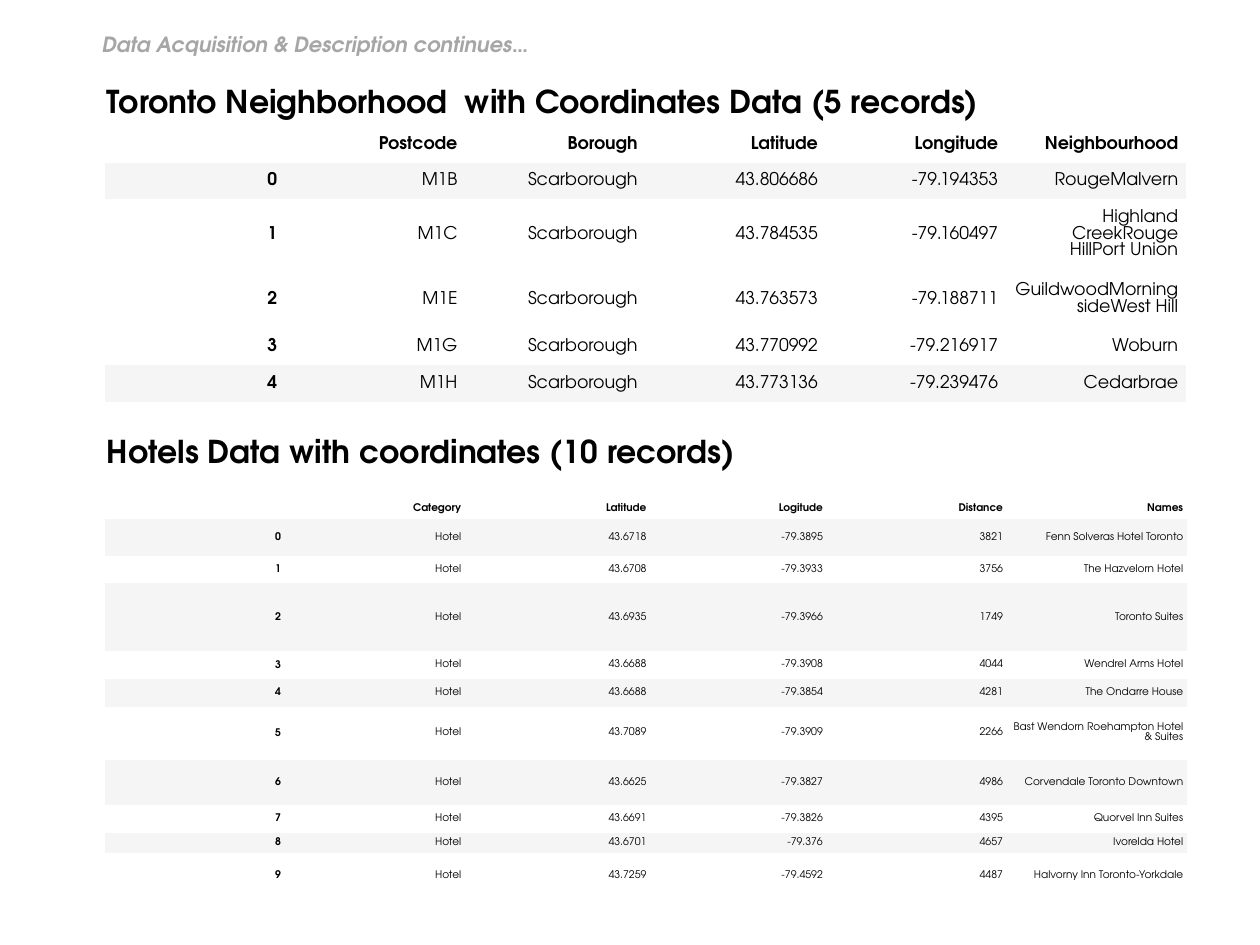
from lxml import etree
from pptx import Presentation
from pptx import util as u
from pptx.dml.color import RGBColor
from pptx.enum import text
from pptx.oxml.ns import qn

FONT = "TeX Gyre Adventor"
BLACK = RGBColor(0x00, 0x00, 0x00)
GREY = RGBColor(0xA6, 0xA6, 0xA6)
BAND = RGBColor(0xF5, 0xF5, 0xF5)
NO_STYLE_NO_GRID = "{2D5ABB26-0587-4C30-8999-92F81FD0307C}"

NEIGHBOURHOOD_HEADER = ["", "Postcode", "Borough", "Latitude", "Longitude", "Neighbourhood"]
NEIGHBOURHOODS = [
    ("M1B", "43.806686", "-79.194353", "RougeMalvern"),
    ("M1C", "43.784535", "-79.160497", "Highland CreekRouge HillPort Union"),
    ("M1E", "43.763573", "-79.188711", "GuildwoodMorningsideWest Hill"),
    ("M1G", "43.770992", "-79.216917", "Woburn"),
    ("M1H", "43.773136", "-79.239476", "Cedarbrae"),
]
HOTEL_HEADER = ["", "Category", "Latitude", "Logitude", "Distance", "Names"]
HOTELS = [
    ("43.6718", "-79.3895", "3821", "Fenn Solveras Hotel Toronto"),
    ("43.6708", "-79.3933", "3756", "The Hazvelorn Hotel"),
    ("43.6935", "-79.3966", "1749", "Toronto Suites"),
    ("43.6688", "-79.3908", "4044", "Wendrel Arms Hotel"),
    ("43.6688", "-79.3854", "4281", "The Ondarre House"),
    ("43.7089", "-79.3909", "2266", "Bast Wendorn Roehampton Hotel & Suites"),
    ("43.6625", "-79.3827", "4986", "Corvendale Toronto Downtown"),
    ("43.6691", "-79.3826", "4395", "Quorvel Inn Suites"),
    ("43.6701", "-79.376", "4657", "Ivorelda Hotel"),
    ("43.7259", "-79.4592", "4487", "Halvorny Inn Toronto-Yorkdale"),
]


def write(frame, content, size, color=BLACK, bold=False, italic=False, align=None):
    paragraph = frame.paragraphs[0]
    paragraph.alignment = align
    if not content:
        etree.SubElement(paragraph._p, qn("a:endParaRPr"), sz=str(size * 100))
        return
    run = paragraph.add_run()
    run.text = content
    font = run.font
    font.name, font.size = FONT, u.Pt(size)
    font.bold, font.italic = bold, italic
    font.color.rgb = color


def add_heading(slide, content, left, top, width, height, **style):
    heading = slide.shapes.add_textbox(*map(u.Inches, (left, top, width, height)))
    frame = heading.text_frame
    frame.word_wrap = True
    frame.auto_size = text.MSO_AUTO_SIZE.SHAPE_TO_FIT_TEXT
    write(frame, content, bold=True, **style)


def add_records(slide, records, top, widths, heights, bands, size, inset_x, inset_y):
    left = 0.83
    table = slide.shapes.add_table(
        len(heights), len(widths), u.Inches(left), u.Inches(top),
        u.Inches(sum(widths)), u.Inches(sum(heights))).table
    table.first_row = table.horz_banding = False
    table._tbl.tblPr.find(qn("a:tableStyleId")).text = NO_STYLE_NO_GRID
    for column, width in zip(table.columns, widths):
        column.width = u.Inches(width)
    for row, height in zip(table.rows, heights):
        row.height = u.Inches(height)
    for r, record in enumerate(records):
        for c, value in enumerate(record):
            cell = table.cell(r, c)
            cell.margin_left = cell.margin_right = u.Inches(inset_x)
            cell.margin_top = cell.margin_bottom = u.Inches(inset_y)
            cell.vertical_anchor = text.MSO_ANCHOR.MIDDLE
            if r in bands:
                cell.fill.solid()
                cell.fill.fore_color.rgb = BAND
            else:
                cell.fill.background()
            write(cell.text_frame, value, size, bold=r == 0 or c == 0,
                  align=text.PP_ALIGN.RIGHT)


def main():
    deck = Presentation()
    deck.slide_width, deck.slide_height = u.Inches(10), u.Inches(7.5)
    slide = deck.slides.add_slide(deck.slide_layouts[6])

    add_heading(slide, "Toronto Neighborhood  with Coordinates Data (5 records)",
                0.75, 0.6, 8.03, 0.4, size=18)
    add_heading(slide, "Hotels Data with coordinates (10 records)",
                0.75, 3.38, 5.49, 0.4, size=18)
    add_heading(slide, "Data Acquisition & Description continues…",
                0.71, 0.2, 8.03, 0.3, size=12, color=GREY, italic=True)

    neighbourhood_rows = [NEIGHBOURHOOD_HEADER] + [
        [str(i), postcode, "Scarborough", *rest]
        for i, (postcode, *rest) in enumerate(NEIGHBOURHOODS)]
    add_records(slide, neighbourhood_rows, top=1, widths=[1.43] * 6,
                heights=[0.29, 0.29, 0.56, 0.47, 0.29, 0.29], bands=(1, 5),
                size=10, inset_x=0.06, inset_y=0.03)

    hotel_rows = [HOTEL_HEADER] + [
        [str(i), "Hotel", *hotel] for i, hotel in enumerate(HOTELS)]
    add_records(slide, hotel_rows, top=3.96,
                widths=[1.43, 1.43, 1.47, 1.4, 1.43, 1.43],
                heights=[0.16, 0.29, 0.22, 0.54, 0.22, 0.22, 0.42, 0.36, 0.22, 0.16, 0.36],
                bands=range(1, 11, 2), size=6, inset_x=0.03, inset_y=0.02)

    deck.save("out.pptx")


if __name__ == "__main__":
    main()
